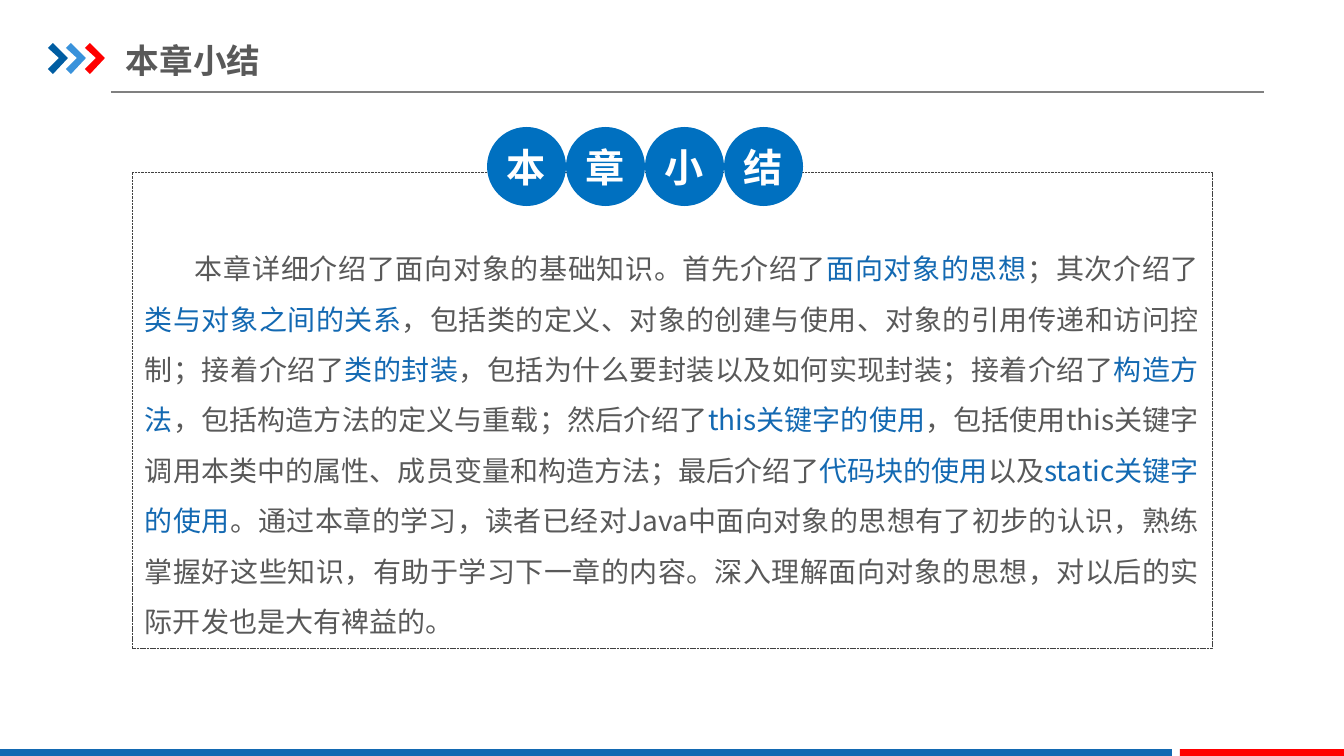
from lxml.etree import SubElement
from pptx import Presentation
from pptx.dml.color import RGBColor
from pptx.enum.dml import MSO_LINE
from pptx.enum.shapes import MSO_CONNECTOR, MSO_SHAPE
from pptx.enum.text import MSO_ANCHOR, PP_ALIGN
from pptx.oxml.ns import qn
from pptx.util import Pt

# Content
TITLE = "本章小结"
SUMMARY = [  # plain and highlighted pieces alternate
    "本章详细介绍了面向对象的基础知识。首先介绍了", "面向对象的思想",
    "；其次介绍了", "类与对象之间的关系",
    "，包括类的定义、对象的创建与使用、对象的引用传递和访问控制；接着介绍了", "类的封装",
    "，包括为什么要封装以及如何实现封装；接着介绍了", "构造方法",
    "，包括构造方法的定义与重载；然后介绍了", "this关键字的使用",
    "，包括使用this关键字调用本类中的属性、成员变量和构造方法；最后介绍了", "代码块的使用",
    "以及", "static关键字的使用",
    "。通过本章的学习，读者已经对Java中面向对象的思想有了初步的认识，"
    "熟练掌握好这些知识，有助于学习下一章的内容。"
    "深入理解面向对象的思想，对以后的实际开发也是大有裨益的。",
]
FONT = "Noto Sans CJK SC"
GREY, BLUE, RED, BADGE_BLUE = "595959", "1369B2", "FF0000", "0070C0"

# Layout in px
EMU_PER_PX = 914400 / 100.8
CHEVRONS = [(48, "005DA2"), (66, "3992DB"), (85, RED)]
CHEVRON_OUTLINE = [(0, 48), (5, 43), (20, 58), (5, 74), (0, 69), (11, 58)]
FOOTER_BARS = [(0, 1172, BLUE), (1180, 164, RED)]
BADGE_LEFT, BADGE_TOP, BADGE_SIZE = 487, 127, 79


def px(length):
    return round(length * EMU_PER_PX)


def color(hex_value):
    return RGBColor.from_string(hex_value)


def paint(shape, fill):
    shape.shadow.inherit = False
    shape.fill.solid()
    shape.fill.fore_color.rgb = color(fill)
    shape.line.fill.background()


def add_block(kind, *box):
    return slide.shapes.add_shape(kind, *map(px, box))


def add_text_area(*box, inset):
    frame = slide.shapes.add_textbox(*map(px, box)).text_frame
    frame.word_wrap = True
    frame.margin_left = frame.margin_right = px(inset)
    frame.margin_top = frame.margin_bottom = px(7)
    return frame


def style(paragraph, size, ink=None, bold=False):
    font = paragraph.font
    font.size, font.bold, font.name = Pt(size), bold, FONT
    if ink:
        font.color.rgb = color(ink)
    defaults = paragraph._p.pPr.find(qn("a:defRPr"))
    SubElement(defaults, qn("a:ea")).set("typeface", FONT)


presentation = Presentation()
presentation.slide_width, presentation.slide_height = px(1344), px(756)
slide = presentation.slides.add_slide(presentation.slide_layouts[6])

# Header: rule, chevrons and title
rule = slide.shapes.add_connector(
    MSO_CONNECTOR.STRAIGHT, px(111), px(92), px(1264), px(92))
rule.line.color.rgb = color("808080")
rule.line.width = Pt(0.75)
SubElement(rule._element.spPr, qn("a:effectLst"))

for left, fill in CHEVRONS:
    (start_x, start_y), *corners = [(left + x, y) for x, y in CHEVRON_OUTLINE]
    outline = slide.shapes.build_freeform(start_x, start_y, scale=EMU_PER_PX)
    outline.add_line_segments(corners, close=True)
    paint(outline.convert_to_shape(), fill)

heading = add_text_area(126, 29, 625, 62, inset=0)
heading.vertical_anchor = MSO_ANCHOR.MIDDLE
heading.text = TITLE
style(heading.paragraphs[0], 24, GREY, bold=True)

# Footer bars
for left, width, fill in FOOTER_BARS:
    paint(add_block(MSO_SHAPE.RECTANGLE, left, 749, width, 9), fill)

# Chapter summary
summary = add_text_area(132, 228, 1080, 420, inset=13).paragraphs[0]
summary.alignment = PP_ALIGN.JUSTIFY
summary.line_spacing = 1.5
summary._p.get_or_add_pPr().set("indent", str(px(50)))
style(summary, 20)
for index, piece in enumerate(SUMMARY):
    run = summary.add_run()
    run.text = piece
    run.font.color.rgb = color(BLUE if index % 2 else GREY)

# Dashed frame
border = add_block(MSO_SHAPE.ROUNDED_RECTANGLE, 132, 172, 1080, 476)
border.adjustments[0] = 0
border.shadow.inherit = False
border.fill.background()
border.line.color.rgb = color("404040")
border.line.width = Pt(0.25)
border.line.dash_style = MSO_LINE.SQUARE_DOT

# Round badges, one title character each
for index, character in enumerate(TITLE):
    badge = add_block(MSO_SHAPE.OVAL, BADGE_LEFT + index * BADGE_SIZE,
                      BADGE_TOP, BADGE_SIZE, BADGE_SIZE)
    paint(badge, BADGE_BLUE)
    label = badge.text_frame
    label.margin_left = label.margin_right = 0
    label.vertical_anchor = MSO_ANCHOR.MIDDLE
    label.text = character
    label.paragraphs[0].alignment = PP_ALIGN.CENTER
    style(label.paragraphs[0], 28, "FFFFFF", bold=True)

presentation.save("out.pptx")
